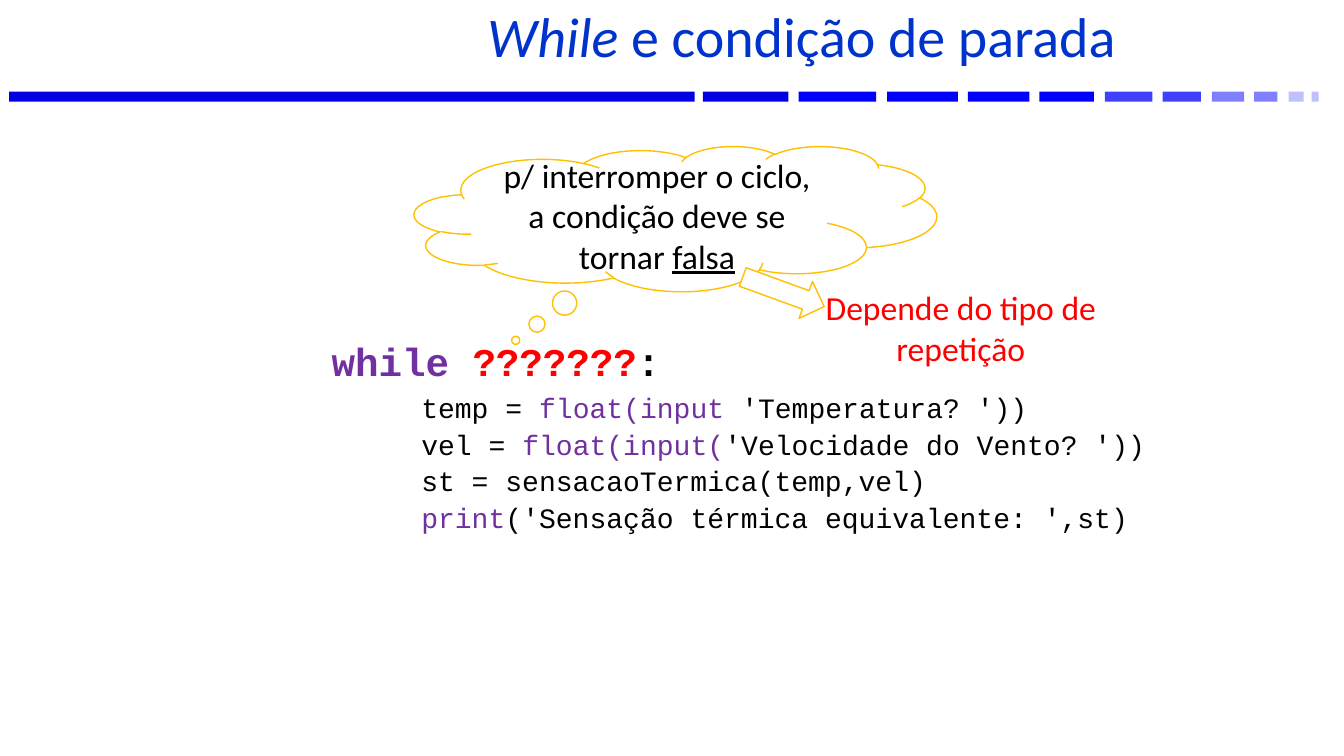
import pptx
import pptx.util
import pptx.dml.color
import pptx.enum.shapes
import pptx.enum.text
from pptx.util import Inches

COLORS = {
    "white": "FFFFFF", "black": "000000", "title": "0033CC",
    "keyword": "7030A0", "alert": "FF0000", "outline": "FFC000",
    "navy": "0000E0", "blue": "0000FF", "medium": "4040FF",
    "light": "8080FF", "pale": "C0C0FF",
}
DASHES = [
    (0.09, 6.8, "navy"), (6.97, 0.85, "navy"), (7.92, 0.77, "blue"),
    (8.8, 0.7, "blue"), (9.6, 0.61, "blue"), (10.31, 0.54, "blue"),
    (10.96, 0.47, "medium"), (11.53, 0.38, "medium"),
    (12.02, 0.32, "light"), (12.44, 0.23, "light"),
    (12.78, 0.15, "pale"), (13.01, 0.07, "pale"),
]
CODE = [
    [("temp = ", "black"), ("float(input", "keyword"), ("(", "white"),
     ("'Temperatura? '))", "black")],
    [("vel = ", "black"), ("float(input(", "keyword"),
     ("'Velocidade do Vento? '))", "black")],
    [("st = sensacaoTermica(temp,vel)", "black")],
    [("print", "keyword"),
     ("('Sensação térmica equivalente: ',st)", "black")],
]
SHAPES = pptx.enum.shapes.MSO_SHAPE
ANCHOR = pptx.enum.text.MSO_ANCHOR
ALIGN = pptx.enum.text.PP_ALIGN


def rgb(name):
    """Return the named colour."""
    return pptx.dml.color.RGBColor.from_string(COLORS[name])


def add_shape(slide, kind, box, fill, line=None):
    """Add a flat preset shape with an optional outline."""
    shape = slide.shapes.add_shape(kind, *map(Inches, box))
    shape.shadow.inherit = False
    shape.fill.solid()
    shape.fill.fore_color.rgb = rgb(fill)
    if line:
        shape.line.color.rgb = rgb(line)
        shape.line.width = pptx.util.Pt(1)
    else:
        shape.line.fill.background()
    return shape


def add_textbox(slide, box):
    """Add an empty text box."""
    return slide.shapes.add_textbox(*map(Inches, box))


def write(shape, lines, font, size, align=ALIGN.LEFT, anchor=ANCHOR.TOP,
          before=0, spacing=1.0):
    """Write lines of (text, colour, styles...) runs into a shape."""
    frame = shape.text_frame
    frame.word_wrap = True
    frame.vertical_anchor = anchor
    for number, runs in enumerate(lines):
        paragraph = frame.add_paragraph() if number else frame.paragraphs[0]
        paragraph.alignment = align
        paragraph.space_before = pptx.util.Pt(before)
        paragraph.line_spacing = spacing
        for text, color, *styles in runs:
            run = paragraph.add_run()
            run.text = text
            run.font.name = font
            run.font.size = pptx.util.Pt(size)
            run.font.color.rgb = rgb(color)
            for style in styles:
                setattr(run.font, style, True)


def main():
    """Build the slide and save it."""
    deck = pptx.Presentation()
    deck.slide_width, deck.slide_height = Inches(13.33), Inches(7.5)
    slide = deck.slides.add_slide(deck.slide_layouts[6])

    for left, width, color in DASHES:
        add_shape(slide, SHAPES.RECTANGLE, (left, 0.91, width, 0.1), color)

    loop_header = add_textbox(slide, (3.19, 3.3, 7.85, 2.46))
    write(loop_header, [[("while ", "keyword", "bold"),
                         ("???????", "alert", "bold"),
                         (":", "black", "bold")]], "Courier New", 28)

    title = add_textbox(slide, (2.57, 0.06, 10.76, 0.7))
    write(title, [[("While", "title", "italic"),
                   (" e condição de parada", "title")]],
          "Calibri", 40, ALIGN.CENTER, ANCHOR.MIDDLE, 6, 0.8)

    loop_body = add_shape(slide, SHAPES.RECTANGLE,
                          (4.08, 3.86, 8.02, 1.45), "white")
    write(loop_body, CODE, "Courier New", 20, anchor=ANCHOR.MIDDLE, before=2)

    thought = add_shape(slide, SHAPES.CLOUD_CALLOUT,
                        (4.11, 1.45, 5.18, 1.44), "white", "outline")
    thought.adjustments[0] = -0.306
    thought.adjustments[1] = 0.838
    write(thought, [[
        ("p/ interromper o ciclo, a condição deve se tornar ", "black"),
        ("falsa", "black", "underline")]],
        "Calibri", 24, ALIGN.CENTER, ANCHOR.MIDDLE)

    pointer = add_shape(slide, SHAPES.LEFT_ARROW,
                        (7.34, 2.7, 0.86, 0.39), "white", "outline")
    pointer.rotation = 200

    remark = add_textbox(slide, (8.05, 2.8, 2.96, 0.91))
    write(remark, [[("Depende do tipo de repetição", "alert")]],
          "Calibri", 24, ALIGN.CENTER)

    deck.save("out.pptx")


if __name__ == "__main__":
    main()
